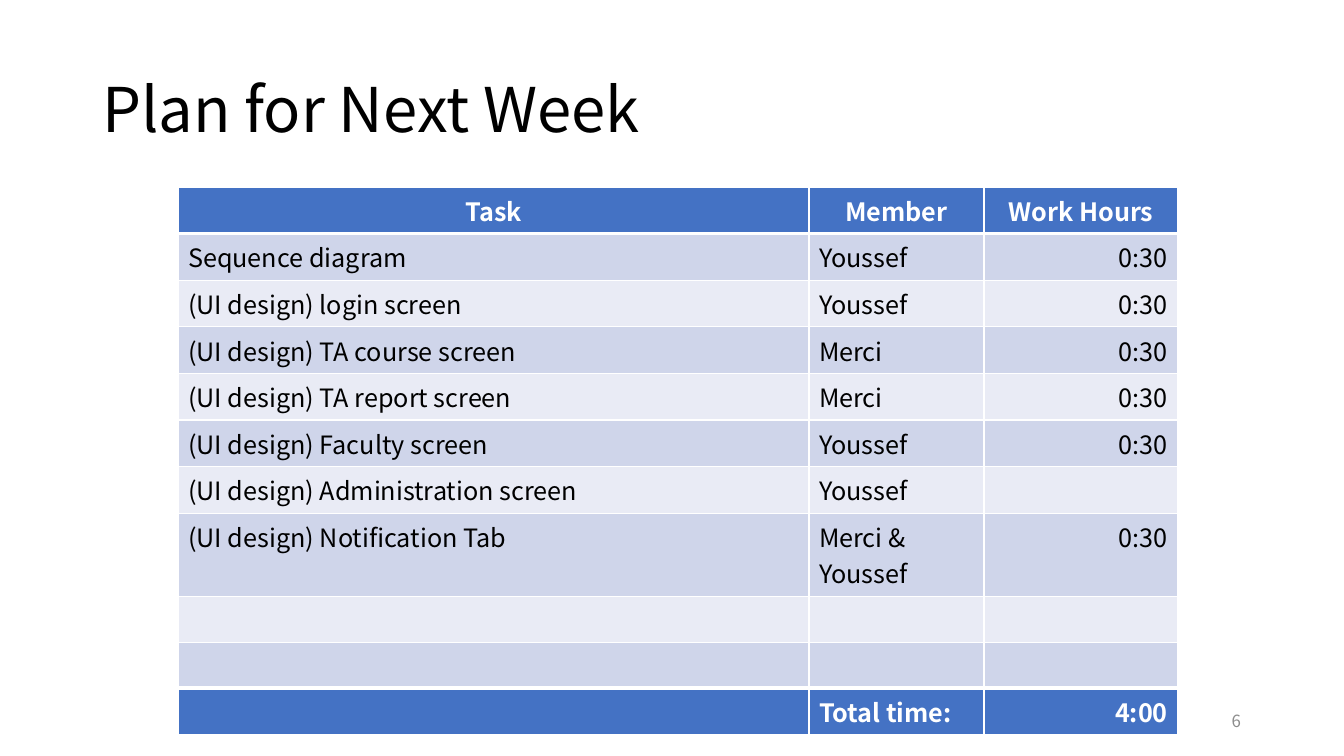
from lxml import etree
from pptx import Presentation
from pptx import util as u
from pptx.dml.color import RGBColor
from pptx.enum import text
from pptx.oxml import ns

PX_PER_INCH = 100.8
FONT = "Noto Sans CJK JP"
BLACK = RGBColor(0x00, 0x00, 0x00)
WHITE = RGBColor(0xFF, 0xFF, 0xFF)
GRAY = RGBColor(0x8C, 0x8C, 0x8C)
BLUE = RGBColor(0x44, 0x72, 0xC4)
BANDS = (RGBColor(0xCF, 0xD5, 0xEA), RGBColor(0xE9, 0xEB, 0xF5))

LEFT, CENTER, RIGHT = text.PP_ALIGN.LEFT, text.PP_ALIGN.CENTER, text.PP_ALIGN.RIGHT
COLUMN_ALIGN = (LEFT, LEFT, RIGHT)
COLUMN_WIDTHS = (631, 175, 194)
ROW_HEIGHT = 46

PLAN = [
    ("Task", "Member", "Work Hours"),
    ("Sequence diagram", "Youssef", "0:30"),
    ("(UI design) login screen", "Youssef", "0:30"),
    ("(UI design) TA course screen", "Merci", "0:30"),
    ("(UI design) TA report screen", "Merci", "0:30"),
    ("(UI design) Faculty screen", "Youssef", "0:30"),
    ("(UI design) Administration screen", "Youssef", ""),
    ("(UI design) Notification Tab", "Merci & Youssef", "0:30"),
    ("", "", ""),
    ("", "", ""),
    ("", "Total time:", "4:00"),
]


def px(n):
    return u.Emu(round(n * 914400 / PX_PER_INCH))


def write(tf, words, size, color, align=LEFT, bold=False):
    p = tf.paragraphs[0]
    p.text = words
    p.alignment = align
    for r in p.runs:
        r.font.name = FONT
        r.font.size = u.Pt(size)
        r.font.bold = bold
        r.font.color.rgb = color
    return p


def set_borders(cell, top, bottom):
    tc_pr = cell._tc.get_or_add_tcPr()
    widths = {"lnL": 1, "lnR": 1, "lnT": top, "lnB": bottom}
    for i, (side, width) in enumerate(widths.items()):
        ln = etree.Element(ns.qn("a:" + side), w=str(u.Pt(width)))
        fill = etree.SubElement(ln, ns.qn("a:solidFill"))
        etree.SubElement(fill, ns.qn("a:srgbClr"), val=str(WHITE))
        tc_pr.insert(i, ln)


def add_title(s, x, y, w, h):
    sp = s.shapes.title
    sp.left, sp.top, sp.width, sp.height = map(px, (x, y, w, h))
    tf = sp.text_frame
    tf.auto_size = text.MSO_AUTO_SIZE.NONE
    tf.vertical_anchor = text.MSO_ANCHOR.MIDDLE
    p = write(tf, "Plan for Next Week", 44, BLACK)
    p.line_spacing = 0.9


def add_plan(s, x, y):
    last = len(PLAN) - 1
    frame = s.shapes.add_table(len(PLAN), len(COLUMN_WIDTHS), px(x), px(y),
                               px(sum(COLUMN_WIDTHS)), px(ROW_HEIGHT * len(PLAN)))
    table = frame.table
    table.last_row = True
    for column, width in zip(table.columns, COLUMN_WIDTHS):
        column.width = px(width)
    for i, row in enumerate(PLAN):
        table.rows[i].height = px(ROW_HEIGHT)
        strong = i in (0, last)
        for j, words in enumerate(row):
            cell = table.cell(i, j)
            cell.fill.solid()
            cell.fill.fore_color.rgb = BLUE if strong else BANDS[(i - 1) % 2]
            set_borders(cell, 3 if i in (1, last) else 1, 3 if i in (0, last - 1) else 1)
            align = CENTER if i == 0 else COLUMN_ALIGN[j]
            write(cell.text_frame, words, 18, WHITE if strong else BLACK, align, strong)


def add_page_number(s, x, y, w, h):
    tf = s.shapes.add_textbox(px(x), px(y), px(w), px(h)).text_frame
    tf.word_wrap = True
    tf.vertical_anchor = text.MSO_ANCHOR.MIDDLE
    write(tf, "6", 12, GRAY, RIGHT)


def main():
    prs = Presentation()
    prs.slide_width, prs.slide_height = px(1344), px(756)
    s = prs.slides.add_slide(prs.slide_layouts[5])
    add_title(s, 92, 40, 1159, 146)
    add_plan(s, 178, 187)
    add_page_number(s, 949, 701, 302, 40)
    prs.save("out.pptx")


if __name__ == "__main__":
    main()
